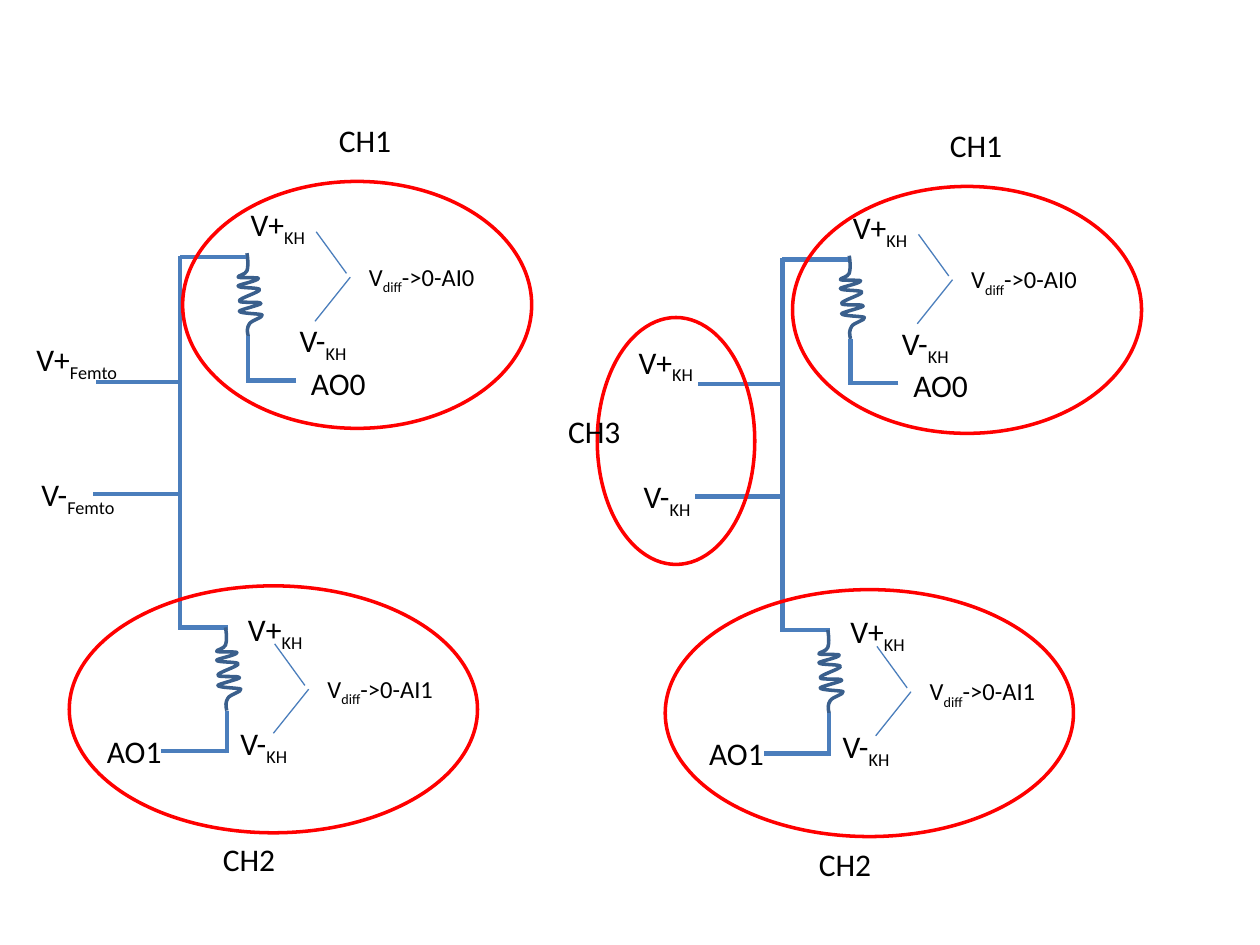
from lxml import etree
from pptx import Presentation, util as u
from pptx.dml.color import RGBColor
from pptx.enum import shapes, text
from pptx.oxml.ns import qn

PX = 9144  # EMU per px, 100 px to the inch
WIRE, COIL, RING, INK = "4B7EBC", "3A5F8C", "FF0000", "000000"
COIL_LENGTH = 66
# Bezier segments (two controls and an end), relative to the top of the coil
COIL_CURVE = [
    ((1, 6), (1, 11), (0, 14)),
    ((-1, 17), (-8, 18), (-7, 19)),
    ((-5, 20), (9, 19), (9, 20)),
    ((9, 22), (-7, 25), (-7, 26)),
    ((-7, 28), (10, 27), (10, 29)),
    ((10, 31), (-7, 36), (-6, 38)),
    ((-6, 40), (11, 38), (11, 40)),
    ((11, 41), (-6, 45), (-6, 46)),
    ((-6, 48), (11, 48), (12, 49)),
    ((13, 51), (4, 53), (2, 56)),
    ((0, 59), (0, 62), (1, COIL_LENGTH)),
]


def px(*lengths):
    return [u.Emu(round(length * PX)) for length in lengths]


def color(value):
    return RGBColor.from_string(value)


def outline(shape, value, width):
    shape.line.color.rgb = color(value)
    shape.line.width = u.Pt(width)


def add_wire(parent, x1, y1, x2, y2, width=2.5):
    wire = parent.add_connector(shapes.MSO_CONNECTOR.STRAIGHT, *px(x1, y1, x2, y2))
    outline(wire, WIRE, width)
    etree.SubElement(wire._element.spPr, qn("a:effectLst"))


def add_label(page, x, y, *pieces, width=73, height=40, size=18, wrap=True):
    """Write the pieces in a row; every second one is a subscript."""
    box = page.shapes.add_textbox(*px(x, y, width, height))
    frame = box.text_frame
    frame.word_wrap = wrap
    frame.auto_size = text.MSO_AUTO_SIZE.SHAPE_TO_FIT_TEXT
    para = frame.paragraphs[0]
    for index, piece in enumerate(pieces):
        span = para.add_run()
        span.text = piece
        span.font.size = u.Pt(size)
        span.font.name = "Calibri"
        span.font.color.rgb = color(INK)
        if index % 2:
            span._r.get_or_add_rPr().set("baseline", "-25000")


def bend_segments(shape, x, y, segments):
    """Turn the straight segments of a freeform into Bezier curves."""
    lines = list(shape._element.iter(qn("a:lnTo")))
    for line, segment in zip(lines, segments):
        curve = etree.Element(qn("a:cubicBezTo"))
        for dx, dy in segment:
            left, top = px(x + dx, y + dy)
            etree.SubElement(curve, qn("a:pt"),
                             x=str(left - shape.left), y=str(top - shape.top))
        line.getparent().replace(line, curve)


def add_coil(page, x, y):
    """Draw the coil and the wire that leaves its lower end."""
    builder = page.shapes.build_freeform(*px(x, y), scale=1.0)
    ends = [px(x + dx, y + dy) for _, _, (dx, dy) in COIL_CURVE]
    builder.add_line_segments(ends, close=False)
    coil = builder.convert_to_shape()
    bend_segments(coil, x, y, COIL_CURVE)
    coil.fill.background()
    coil.shadow.inherit = False
    outline(coil, COIL, 2)
    add_wire(page.shapes, x + 1, y + 100, x + 1, y + COIL_LENGTH)


def add_readout(page, x, y, channel):
    """Draw the bracket between V+ and V- and the reading it gives."""
    add_wire(page.shapes, x, y, x + 24, y + 33, width=0.75)
    add_wire(page.shapes, x + 27, y + 36, x - 1, y + 71, width=0.75)
    add_label(page, x + 32, y + 19, "V", "diff", "->0-" + channel,
              width=106, height=34, size=14, wrap=False)


def add_circuit(page, x, y, source, source_widths):
    """Draw one circuit whose bus starts at x, y."""
    bus = page.shapes.add_group_shape().shapes
    add_wire(bus, x, y, x, y + 295)
    add_wire(bus, x + 1, y + 100, x - 67, y + 100)
    add_wire(bus, x - 1, y + 189, x - 69, y + 189)

    add_label(page, x + 46, y - 45, "V+", "KH")
    add_label(page, x + 85, y + 47, "V-", "KH")
    add_wire(page.shapes, x + 92, y + 99, x + 52, y + 99)
    add_coil(page, x + 53, y - 2)
    add_wire(page.shapes, x + 52, y + 1, x, y + 1)
    add_label(page, x + 94, y + 81, "AO0")

    add_label(page, x + 44, y + 276, "V+", "KH")
    add_label(page, x + 38, y + 367, "V-", "KH")
    add_wire(page.shapes, x + 38, y + 295, x - 2, y + 295)
    add_coil(page, x + 36, y + 295)
    add_wire(page.shapes, x + 38, y + 393, x - 15, y + 393)
    add_label(page, x - 68, y + 373, "AO1")

    for dx, dy, sign, width in zip((-124, -120), (62, 169), ("V+", "V-"), source_widths):
        add_label(page, x + dx, y + dy, sign, source, width=width, wrap=False)

    add_readout(page, x + 108, y - 19, "AI0")
    add_readout(page, x + 75, y + 308, "AI1")


def add_ring(page, x, y, width):
    ring = page.shapes.add_shape(shapes.MSO_SHAPE.OVAL, *px(x, y, width, 196))
    ring.fill.background()
    ring.shadow.inherit = False
    outline(ring, RING, 2)


def add_channel(page, name, ring, label):
    add_ring(page, *ring)
    add_label(page, *label, name, width=62, wrap=False)


def main():
    deck = Presentation()
    deck.slide_width, deck.slide_height = px(1000, 750)
    page = deck.slides.add_slide(deck.slide_layouts[6])

    add_circuit(page, 143, 203, "Femto", (91, 86))
    add_circuit(page, 621, 205, "KH", (66, 62))

    for name, ring, label in [
        ("CH2", (55, 465, 324), (167, 662)),
        ("CH1", (145, 144, 277), (259, 91)),
        ("CH2", (528, 468, 324), (640, 666)),
        ("CH1", (629, 148, 277), (744, 95)),
        ("CH3", (474, 252, 125), (441, 322)),
    ]:
        add_channel(page, name, ring, label)

    deck.save("out.pptx")


if __name__ == "__main__":
    main()
